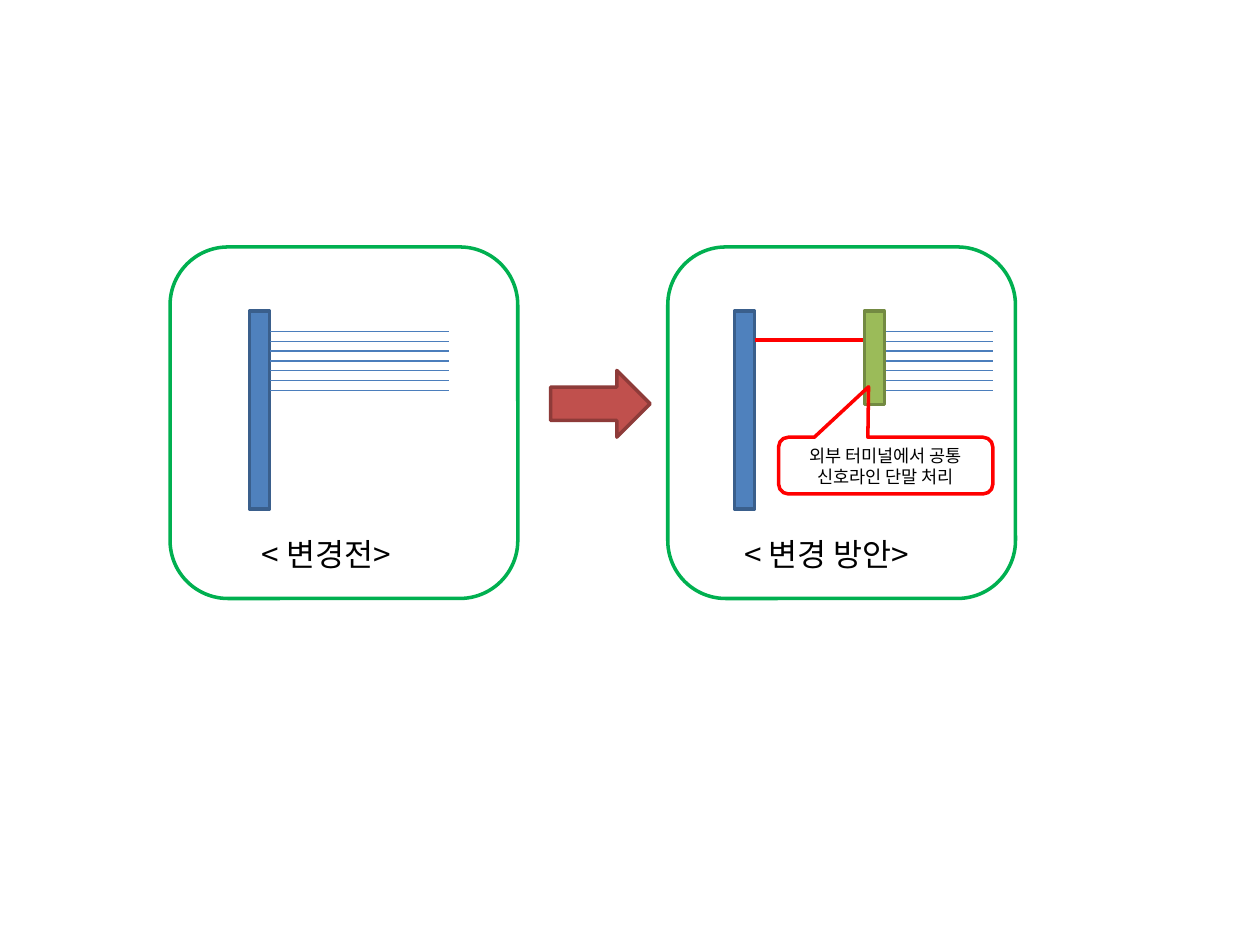
from lxml import etree
from pptx import Presentation
from pptx.dml.color import RGBColor
from pptx.enum.shapes import MSO_CONNECTOR, MSO_SHAPE
from pptx.enum.text import MSO_ANCHOR, PP_ALIGN
from pptx.oxml.ns import qn
from pptx.util import Inches, Pt

FONT = "Noto Sans CJK KR"
BLACK = RGBColor(0x00, 0x00, 0x00)
RED = RGBColor(0xFF, 0x00, 0x00)
FRAME_GREEN = RGBColor(0x00, 0xB0, 0x50)
BLUE, BLUE_EDGE = RGBColor(0x4F, 0x81, 0xBD), RGBColor(0x3A, 0x5F, 0x8C)
GREEN, GREEN_EDGE = RGBColor(0x9B, 0xBB, 0x59), RGBColor(0x73, 0x8A, 0x42)
BRICK, BRICK_EDGE = RGBColor(0xC0, 0x50, 0x4D), RGBColor(0x8E, 0x3B, 0x39)
WIRE_BLUE = RGBColor(0x4B, 0x7E, 0xBC)

prs = Presentation()
prs.slide_width, prs.slide_height = Inches(10), Inches(7.5)
s = prs.slides.add_slide(prs.slide_layouts[6])


def add_box(kind, box, edge, fill=None):
    sp = s.shapes.add_shape(kind, *[Inches(v) for v in box])
    sp.shadow.inherit = False
    if fill is None:
        sp.fill.background()
    else:
        sp.fill.solid()
        sp.fill.fore_color.rgb = fill
    sp.line.color.rgb = edge
    sp.line.width = Pt(2)
    return sp


def add_text(sp, text, size):
    sp.text_frame.word_wrap = True
    p = sp.text_frame.paragraphs[0]
    r = p.add_run()
    r.text = text
    for name, value in {"name": FONT, "size": Pt(size)}.items():
        setattr(r.font, name, value)
    r.font.color.rgb = BLACK
    etree.SubElement(r.font._element, qn("a:ea"), typeface=FONT)
    return p


# Main boards, change arrow and external terminal
for x in (1.98, 5.83):
    add_box(MSO_SHAPE.RECTANGLE, (x, 2.47, 0.16, 1.57), BLUE_EDGE, BLUE)
add_box(MSO_SHAPE.RIGHT_ARROW, (4.37, 2.94, 0.79, 0.53), BRICK_EDGE, BRICK)

# Seven signal wires on each side, plus the single common line
wires = [(x1, x2, 2.63 + 0.0783 * i, WIRE_BLUE, 0.75)
         for x1, x2 in ((2.14, 3.56), (7.02, 7.88)) for i in range(7)]
wires.append((5.99, 6.86, 2.7, RED, 2.25))
for x1, x2, y, color, width in wires:
    line = s.shapes.add_connector(MSO_CONNECTOR.STRAIGHT, Inches(x1), Inches(y),
                                  Inches(x2), Inches(y))
    line.line.color.rgb = color
    line.line.width = Pt(width)
    etree.SubElement(line._element.spPr, qn("a:effectLst"))

add_box(MSO_SHAPE.RECTANGLE, (6.86, 2.47, 0.16, 0.74), GREEN_EDGE, GREEN)

# Callout on the terminal
callout = add_box(MSO_SHAPE.ROUNDED_RECTANGULAR_CALLOUT, (6.18, 3.47, 1.7, 0.45), RED)
for i, value in enumerate((-0.08, -1.39, 0.17)):
    callout.adjustments[i] = value
callout.text_frame.vertical_anchor = MSO_ANCHOR.MIDDLE
p = add_text(callout, "외부 터미널에서 공통 신호라인 단말 처리", 10)
p.alignment = PP_ALIGN.CENTER

# Captions
for x, caption in ((1.98, "< 변경전>"), (5.81, "< 변경 방안>")):
    tb = s.shapes.add_textbox(Inches(x), Inches(4.2), Inches(2.54), Inches(0.4))
    add_text(tb, caption, 18)

# Frames around the two states
for x in (1.35, 5.3):
    add_box(MSO_SHAPE.ROUNDED_RECTANGLE, (x, 1.96, 2.76, 2.79), FRAME_GREEN)

prs.save("out.pptx")
